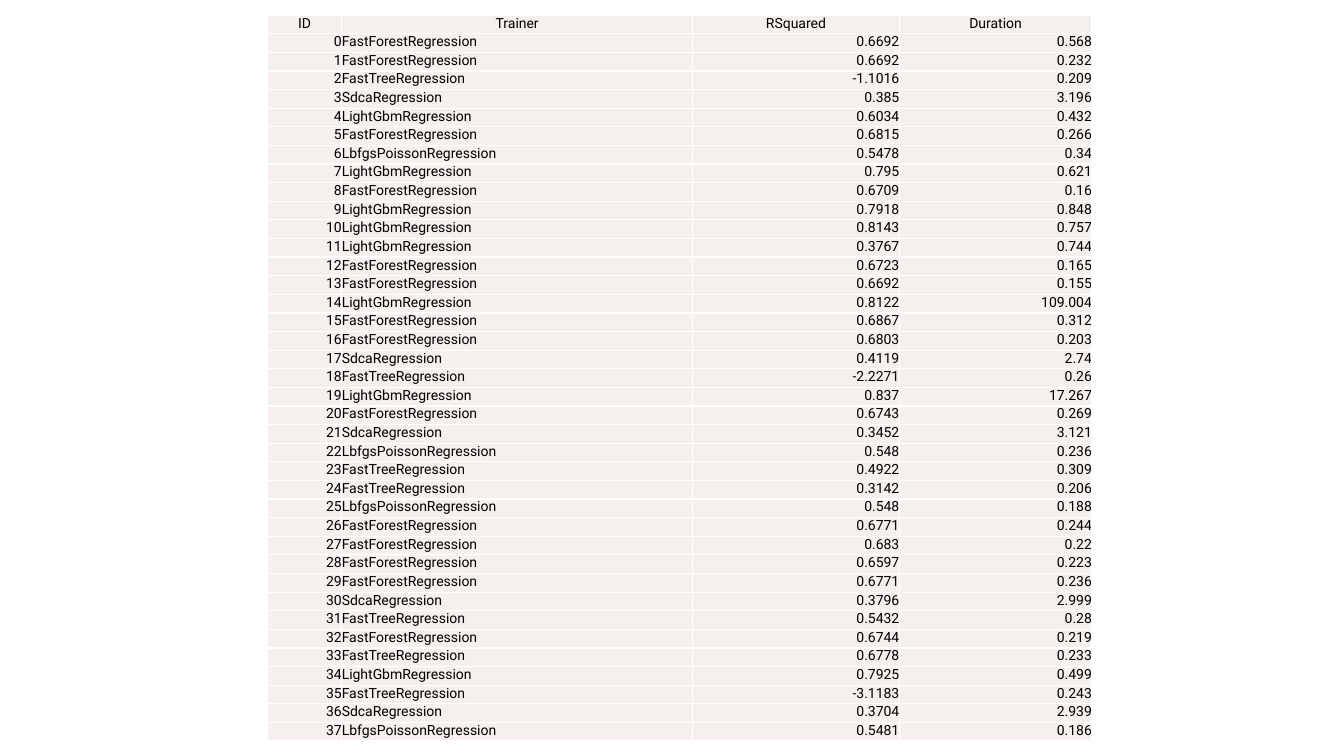
"""Builds a one-slide deck with a table of regression trainer results."""
from lxml import etree
from pptx import Presentation
from pptx import util as u
from pptx.dml.color import RGBColor
from pptx.enum import text
from pptx.oxml import ns

HEADERS = ("ID", "Trainer", "RSquared", "Duration")
RUNS = [
    ("FastForestRegression", "0.6692", "0.568"),
    ("FastForestRegression", "0.6692", "0.232"),
    ("FastTreeRegression", "-1.1016", "0.209"),
    ("SdcaRegression", "0.385", "3.196"),
    ("LightGbmRegression", "0.6034", "0.432"),
    ("FastForestRegression", "0.6815", "0.266"),
    ("LbfgsPoissonRegression", "0.5478", "0.34"),
    ("LightGbmRegression", "0.795", "0.621"),
    ("FastForestRegression", "0.6709", "0.16"),
    ("LightGbmRegression", "0.7918", "0.848"),
    ("LightGbmRegression", "0.8143", "0.757"),
    ("LightGbmRegression", "0.3767", "0.744"),
    ("FastForestRegression", "0.6723", "0.165"),
    ("FastForestRegression", "0.6692", "0.155"),
    ("LightGbmRegression", "0.8122", "109.004"),
    ("FastForestRegression", "0.6867", "0.312"),
    ("FastForestRegression", "0.6803", "0.203"),
    ("SdcaRegression", "0.4119", "2.74"),
    ("FastTreeRegression", "-2.2271", "0.26"),
    ("LightGbmRegression", "0.837", "17.267"),
    ("FastForestRegression", "0.6743", "0.269"),
    ("SdcaRegression", "0.3452", "3.121"),
    ("LbfgsPoissonRegression", "0.548", "0.236"),
    ("FastTreeRegression", "0.4922", "0.309"),
    ("FastTreeRegression", "0.3142", "0.206"),
    ("LbfgsPoissonRegression", "0.548", "0.188"),
    ("FastForestRegression", "0.6771", "0.244"),
    ("FastForestRegression", "0.683", "0.22"),
    ("FastForestRegression", "0.6597", "0.223"),
    ("FastForestRegression", "0.6771", "0.236"),
    ("SdcaRegression", "0.3796", "2.999"),
    ("FastTreeRegression", "0.5432", "0.28"),
    ("FastForestRegression", "0.6744", "0.219"),
    ("FastTreeRegression", "0.6778", "0.233"),
    ("LightGbmRegression", "0.7925", "0.499"),
    ("FastTreeRegression", "-3.1183", "0.243"),
    ("SdcaRegression", "0.3704", "2.939"),
    ("LbfgsPoissonRegression", "0.5481", "0.186"),
]
COLUMN_WIDTHS = (0.74, 3.48, 2.05, 1.91)
LEFT, TOP, HEIGHT = 2.65, 0.15, 7.21
ALIGN = text.PP_ALIGN
COLUMN_ALIGNS = (ALIGN.RIGHT, ALIGN.LEFT, ALIGN.RIGHT, ALIGN.RIGHT)
THEME = {"font": "Roboto", "size": 10, "ink": "000000", "fill": "F5EFED",
         "border": "FFFFFF", "border_width": 1}


def add_borders(cell):
    """Draws a thin line on all four sides of a cell."""
    properties = cell._tc.get_or_add_tcPr()
    for index, side in enumerate(("lnL", "lnR", "lnT", "lnB")):
        line = etree.Element(ns.qn(f"a:{side}"), w=str(u.Pt(THEME["border_width"])))
        fill = etree.SubElement(line, ns.qn("a:solidFill"))
        etree.SubElement(fill, ns.qn("a:srgbClr"), val=THEME["border"])
        properties.insert(index, line)


def style_cell(cell, content, align):
    """Fills a cell with text and applies the theme."""
    cell.text = content
    cell.margin_left = cell.margin_right = cell.margin_top = cell.margin_bottom = 0
    cell.vertical_anchor = text.MSO_ANCHOR.TOP
    cell.fill.solid()
    cell.fill.fore_color.rgb = RGBColor.from_string(THEME["fill"])
    para = cell.text_frame.paragraphs[0]
    para.alignment = align
    para.font.name = THEME["font"]
    para.font.size = u.Pt(THEME["size"])
    para.font.color.rgb = RGBColor.from_string(THEME["ink"])
    add_borders(cell)


def main():
    """Lays out the results table and saves the deck."""
    deck = Presentation()
    deck.slide_width, deck.slide_height = u.Inches(13.33), u.Inches(7.5)
    page = deck.slides.add_slide(deck.slide_layouts[6])
    rows = [HEADERS] + [(str(number), *run) for number, run in enumerate(RUNS)]
    table = page.shapes.add_table(
        len(rows), len(HEADERS), u.Inches(LEFT), u.Inches(TOP),
        u.Inches(sum(COLUMN_WIDTHS)), u.Inches(HEIGHT)).table
    table.horz_banding = False
    for column, width in zip(table.columns, COLUMN_WIDTHS):
        column.width = u.Inches(width)
    table.first_row = False
    for row_index, row in enumerate(rows):
        aligns = COLUMN_ALIGNS if row_index else [ALIGN.CENTER] * len(HEADERS)
        for column_index, (content, align) in enumerate(zip(row, aligns)):
            style_cell(table.cell(row_index, column_index), content, align)
    deck.save("out.pptx")


if __name__ == "__main__":
    main()
